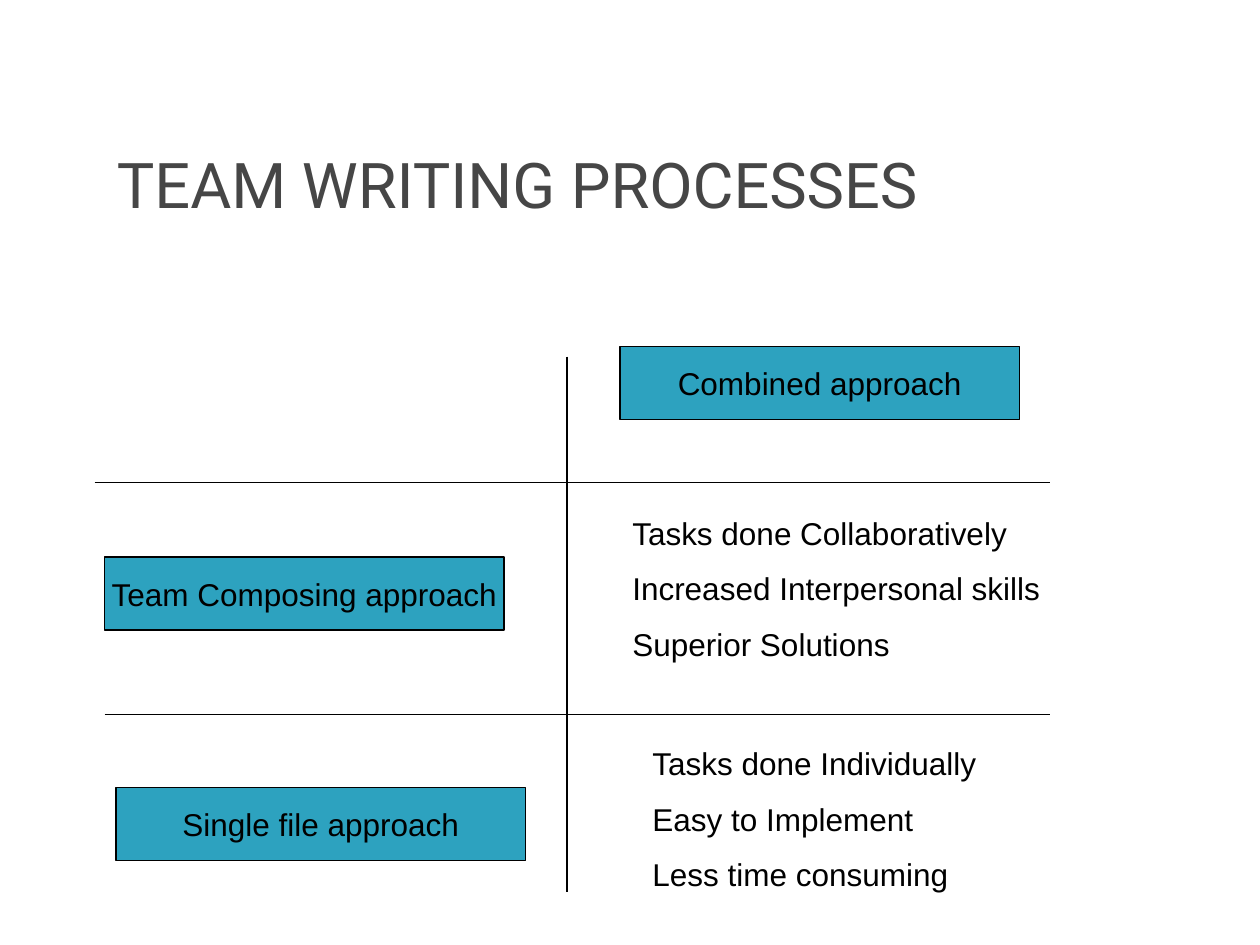
from pptx import Presentation
from pptx.dml.color import RGBColor
from pptx.enum import shapes, text
from pptx.oxml.ns import qn
from pptx.util import Inches, Pt

BLACK = RGBColor(0x00, 0x00, 0x00)
GREY = RGBColor(0x46, 0x46, 0x46)
TEAL = RGBColor(0x2D, 0xA2, 0xBF)


def add_run(p, words, font="Arial", size=18, color=BLACK):
    r = p.add_run()
    r.text = words
    r.font.name = font
    r.font.size = Pt(size)
    r.font.color.rgb = color


prs = Presentation()
prs.slide_width, prs.slide_height = Inches(10), Inches(7.5)
s = prs.slides.add_slide(prs.slide_layouts[6])

# Title
title = s.shapes.add_textbox(Inches(0.83), Inches(0.83), Inches(8.67), Inches(1.25))
tf = title.text_frame
tf.word_wrap = True
tf.vertical_anchor = text.MSO_ANCHOR.MIDDLE
add_run(tf.paragraphs[0], "TEAM WRITING PROCESSES", "Roboto", 36, GREY)

# Approach labels
labels = [
    ("Combined approach", 4.92, 2.75, 3.17),
    ("Team Composing approach", 0.83, 4.42, 3.17),
    ("Single file approach", 0.92, 6.25, 3.25),
]
for words, x, y, w in labels:
    sp = s.shapes.add_shape(shapes.MSO_SHAPE.RECTANGLE,
                            Inches(x), Inches(y), Inches(w), Inches(0.58))
    sp.shadow.inherit = False
    sp.fill.solid()
    sp.fill.fore_color.rgb = TEAL
    sp.line.color.rgb = BLACK
    sp.line.width = Pt(0.75)
    tf = sp.text_frame
    tf.word_wrap = False
    tf.vertical_anchor = text.MSO_ANCHOR.MIDDLE
    p = tf.paragraphs[0]
    p.alignment = text.PP_ALIGN.CENTER
    add_run(p, words)

# Benefits of each approach
benefits = [
    (4.92, 4.03, ["Tasks done Collaboratively", "Increased Interpersonal skills",
                  "Superior Solutions"]),
    (5.08, 5.86, ["Tasks done Individually", "Easy to Implement",
                  "Less time consuming"]),
]
for x, y, lines in benefits:
    tb = s.shapes.add_textbox(Inches(x), Inches(y), Inches(3.67), Inches(1.3))
    tf = tb.text_frame
    tf.word_wrap = True
    for i, words in enumerate(lines):
        p = tf.add_paragraph() if i else tf.paragraphs[0]
        if i:
            p.space_before = Pt(10)
        add_run(p, words)

# Grid lines
grid = [(0.83, 5.67, 8.33, 5.67), (4.5, 2.83, 4.5, 7.08), (0.75, 3.83, 8.33, 3.83)]
for ends in grid:
    line = s.shapes.add_connector(shapes.MSO_CONNECTOR.STRAIGHT,
                                  *(Inches(v) for v in ends))
    line.line.color.rgb = BLACK
    line.line.width = Pt(0.75)
    sp_pr = line._element.spPr
    sp_pr.append(sp_pr.makeelement(qn("a:effectLst"), {}))

prs.save("out.pptx")
